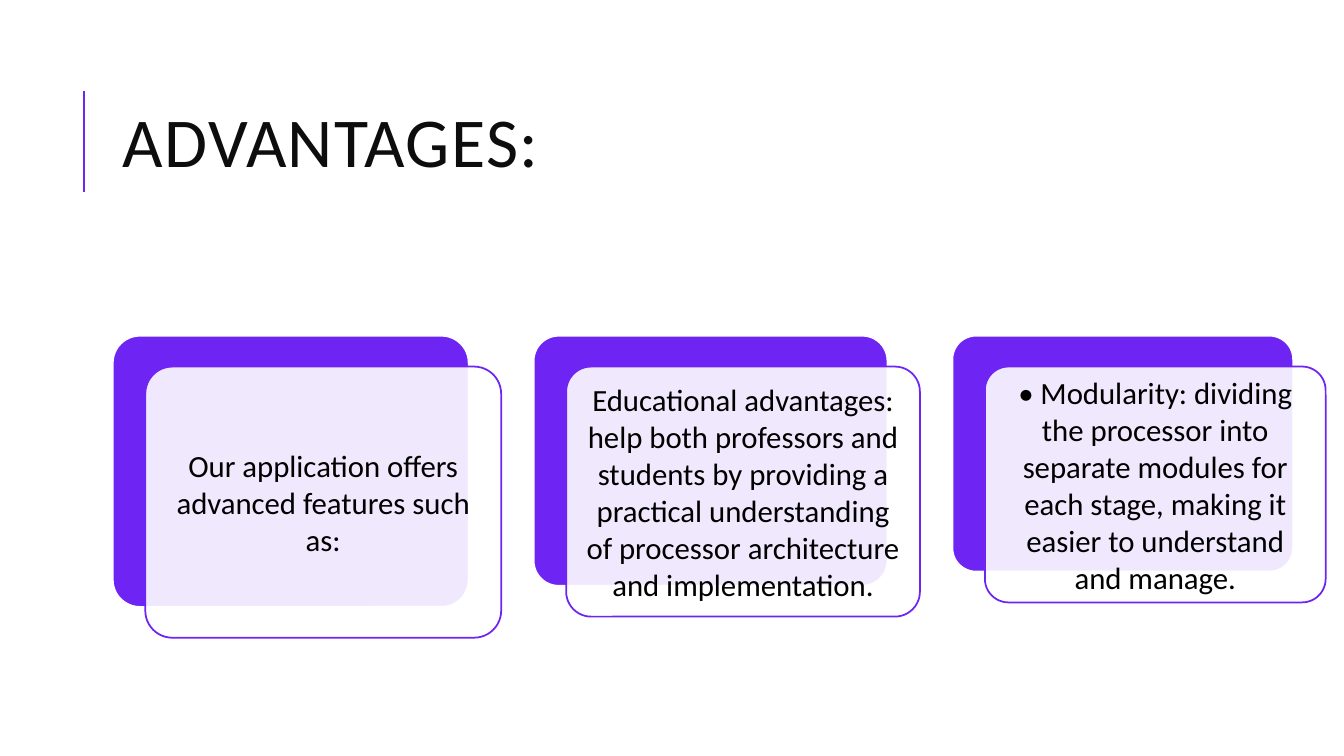
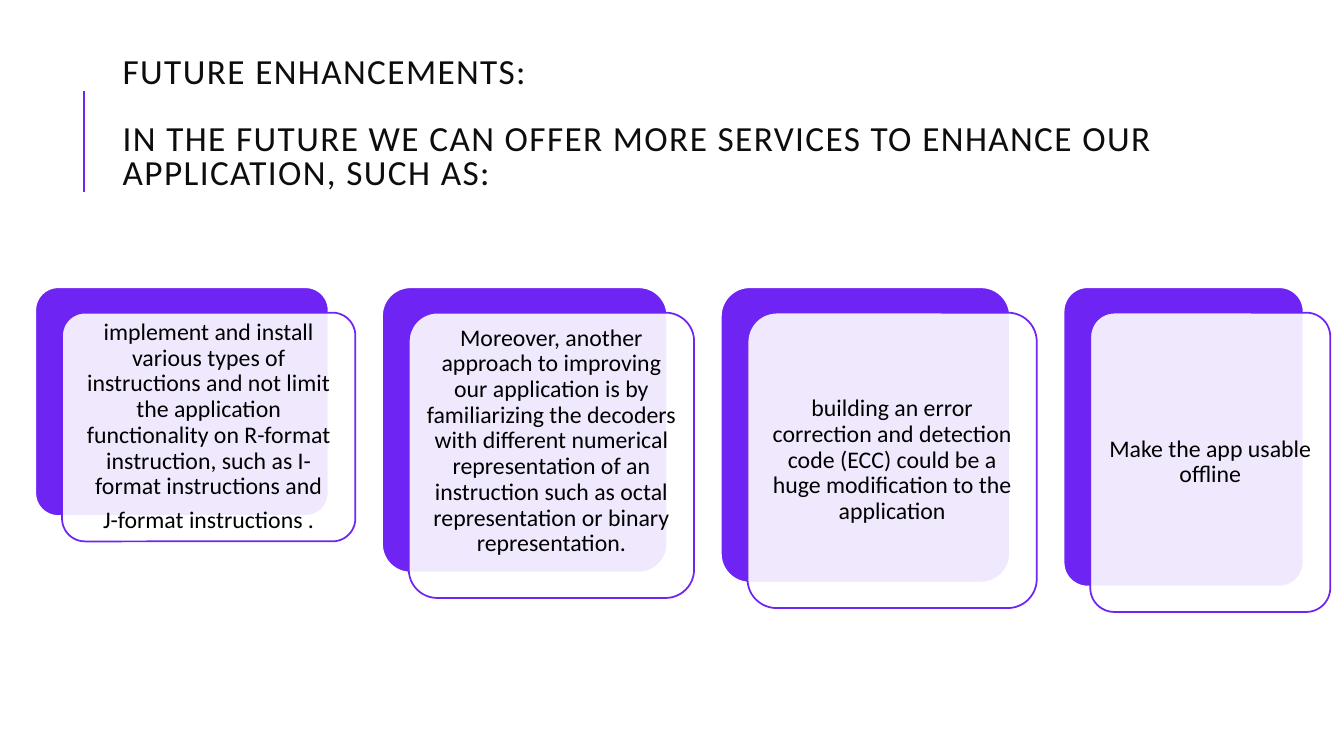
from lxml.etree import SubElement
from pptx import Presentation
from pptx.dml.color import RGBColor
from pptx.enum.shapes import MSO_CONNECTOR, MSO_SHAPE
from pptx.enum.text import MSO_ANCHOR, PP_ALIGN
from pptx.oxml.ns import qn
from pptx.util import Pt

COLORS = {"accent": "6E24F2", "white": "FFFFFF", "title": "0D0D0D", "text": "000000"}
FONT = "Calibri"


def rgb(name):
    return RGBColor.from_string(COLORS[name])


class Deck:
    def __init__(self):
        self.prs = Presentation()
        self.prs.slide_width, self.prs.slide_height = Pt(960), Pt(540)
        self.s = None

    def slide(self):
        self.s = self.prs.slides.add_slide(self.prs.slide_layouts[6])
        self.title_rule()

    def title_rule(self):
        line = self.s.shapes.add_connector(
            MSO_CONNECTOR.STRAIGHT, Pt(60), Pt(136.8), Pt(60), Pt(64.8))
        line.line.color.rgb = rgb("accent")
        line.line.width = Pt(1.5)
        SubElement(line._element.spPr, qn("a:effectLst"))

    def style(self, p, size, color):
        for r in p.runs:
            r.font.name = FONT
            r.font.size = Pt(size)
            r.font.color.rgb = rgb(color)

    def title(self, text, size, top=46.1, gap=0):
        sp = self.s.shapes.add_textbox(Pt(80.6), Pt(top), Pt(765.4), Pt(118))
        tf = sp.text_frame
        tf.word_wrap = True
        tf.vertical_anchor = MSO_ANCHOR.MIDDLE
        tf.text = text
        for i, p in enumerate(tf.paragraphs):
            p.line_spacing = 0.8
            if i:
                p.space_before = Pt(gap)
            self.style(p, size, "title")
            for r in p.runs:
                r.font._element.set("spc", "100")

    def panel(self, left, top, width, height, fill, line):
        sp = self.s.shapes.add_shape(
            MSO_SHAPE.ROUNDED_RECTANGLE, Pt(left), Pt(top), Pt(width), Pt(height))
        sp.adjustments[0] = 0.1
        sp.shadow.inherit = False
        sp.fill.solid()
        sp.fill.fore_color.rgb = rgb(fill)
        sp.line.color.rgb = rgb(line)
        sp.line.width = Pt(1.25)
        return sp

    def card(self, left, top, width, height, text, size, shift, spacing, extra):
        self.panel(left, top, width, height, "accent", "white")
        sp = self.panel(left + shift, top + 0.95 * shift, width, height, "white", "accent")
        color = sp._element.spPr.find(qn("a:solidFill"))[0]
        SubElement(color, qn("a:alpha")).set("val", "90000")
        tf = sp.text_frame
        tf.word_wrap = True
        tf.vertical_anchor = MSO_ANCHOR.MIDDLE
        inset = 0.3 * size
        tf.margin_left = tf.margin_right = tf.margin_top = Pt(inset)
        tf.margin_bottom = Pt(inset + extra)
        tf.text = text
        for p in tf.paragraphs:
            p.alignment = PP_ALIGN.CENTER
            p.line_spacing = spacing
            p.space_after = Pt(round(0.35 * size))
            self.style(p, size, "text")

    def card_row(self, left, top, cards, size, shift, spacing):
        for width, height, extra, text in cards:
            self.card(left, top, width, height, text, size, shift, spacing, extra)
            left += width + 2 * shift


ADVANTAGES = [
    (254.2, 193.7, 0, "Our application offers advanced features such as:"),
    (252.7, 178.6, 0, "Educational advantages: help both professors and students by providing "
     "a practical understanding of processor architecture and implementation."),
    (243.4, 168.5, 0, "• Modularity: dividing the processor into separate modules for each "
     "stage, making it easier to understand and manage."),
]

ENHANCEMENTS = [
    (209.5, 163.4, 0, "implement and install various types of instructions and not limit the "
     "application functionality on R-format instruction, such as I-format instructions and\n"
     "J-format instructions ."),
    (203.8, 203.8, 20, "Moreover, another approach to improving our application is by "
     "familiarizing the decoders with different numerical representation of an instruction "
     "such as octal representation or binary representation."),
    (206.6, 211, 0, "building an error correction and detection code (ECC) could be a huge "
     "modification to the application"),
    (171.4, 213.8, 0, "Make the app usable offline"),
]


def main():
    deck = Deck()
    deck.slide()
    deck.title("ADVANTAGES:", 50)
    deck.card_row(80.6, 239.8, ADVANTAGES, 22, 23.2, 1)

    deck.slide()
    deck.title("FUTURE ENHANCEMENTS:\nIN THE FUTURE WE CAN OFFER MORE SERVICES TO ENHANCE OUR "
               "APPLICATION, SUCH AS:", 25.2, top=30, gap=24)
    deck.card_row(25.2, 205.2, ENHANCEMENTS, 17, 19.1, 0.9)
    deck.prs.save("out.pptx")


if __name__ == "__main__":
    main()
